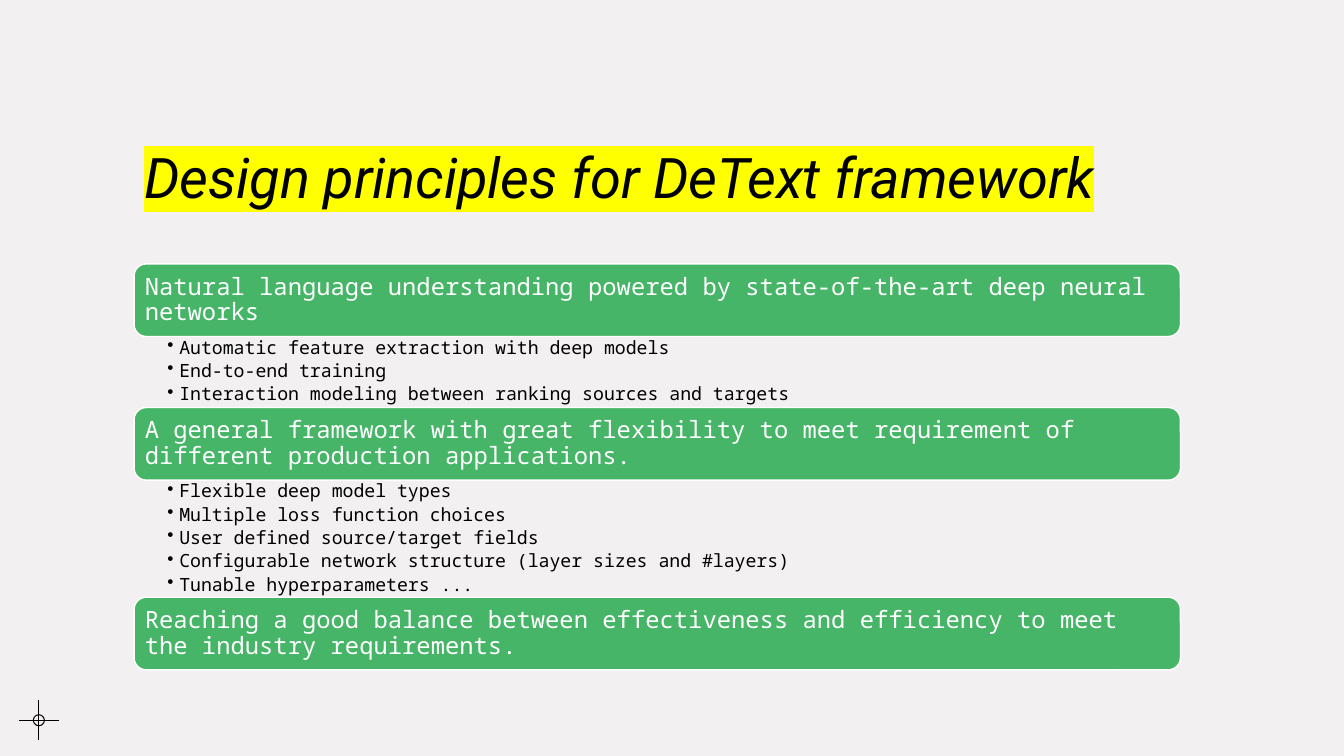
from dataclasses import dataclass

from lxml import etree
from pptx import Presentation
from pptx import util as u
from pptx.dml.color import RGBColor
from pptx.enum import shapes, text
from pptx.oxml import ns


@dataclass(frozen=True)
class Theme:
    background: str = "F3F0F2"
    ink: str = "000000"
    banner: str = "47B568"
    light: str = "FFFFFF"
    highlight: str = "FFFF00"
    title_font: str = "Roboto"
    body_font: str = "Noto Sans Mono"
    title_size: float = 40
    banner_size: float = 17
    bullet_size: float = 13


THEME = Theme()
LEFT, TOP, WIDTH = 3.38, 6.65, 26.37
BANNER_HEIGHT = 1.83

PRINCIPLES = [
    ("Natural language understanding powered by state-of-the-art deep neural networks",
     ["Automatic feature extraction with deep models",
      "End-to-end training",
      "Interaction modeling between ranking sources and targets"]),
    ("A general framework with great flexibility to meet requirement of "
     "different production applications.",
     ["Flexible deep model types",
      "Multiple loss function choices",
      "User defined source/target fields",
      "Configurable network structure (layer sizes and #layers)",
      "Tunable hyperparameters ..."]),
    ("Reaching a good balance between effectiveness and efficiency to meet "
     "the industry requirements.", []),
]


def set_font(font, name, size, color):
    font.name = name
    font.size = u.Pt(size)
    font.color.rgb = RGBColor.from_string(color)


def set_insets(frame, left, top, right, bottom):
    frame.margin_left, frame.margin_top = u.Cm(left), u.Cm(top)
    frame.margin_right, frame.margin_bottom = u.Cm(right), u.Cm(bottom)


def add_color_element(parent, tag):
    element = etree.SubElement(parent, ns.qn(tag))
    etree.SubElement(element, ns.qn("a:srgbClr"))
    return element


def add_title(slide, wording):
    title = slide.shapes.title
    title.left, title.top = u.Cm(LEFT), u.Cm(1.02)
    title.width, title.height = u.Cm(28.04), u.Cm(4.39)
    frame = title.text_frame
    frame.auto_size = text.MSO_AUTO_SIZE.NONE
    frame.vertical_anchor = text.MSO_ANCHOR.BOTTOM
    paragraph = frame.paragraphs[0]
    paragraph.alignment = text.PP_ALIGN.LEFT
    paragraph.line_spacing = 1.2
    run = paragraph.add_run()
    run.text = wording
    set_font(run.font, THEME.title_font, THEME.title_size, THEME.ink)
    run.font.italic = True
    # The highlight must follow the text fill
    properties = run._r.get_or_add_rPr()
    highlight = add_color_element(properties, "a:highlight")
    highlight[0].set("val", THEME.highlight)
    properties.find(ns.qn("a:solidFill")).addnext(highlight)


def add_banner(slide, top, wording):
    banner = slide.shapes.add_shape(
        shapes.MSO_SHAPE.ROUNDED_RECTANGLE,
        u.Cm(LEFT), u.Cm(top), u.Cm(WIDTH), u.Cm(BANNER_HEIGHT))
    banner.shadow.inherit = False
    banner.fill.solid()
    banner.fill.fore_color.rgb = RGBColor.from_string(THEME.banner)
    banner.line.color.rgb = RGBColor.from_string(THEME.light)
    banner.line.width = u.Pt(1)
    frame = banner.text_frame
    frame.word_wrap = True
    frame.vertical_anchor = text.MSO_ANCHOR.MIDDLE
    set_insets(frame, 0.18, 0.18, 0.18, 0.18)
    paragraph = frame.paragraphs[0]
    paragraph.text = wording
    paragraph.alignment = text.PP_ALIGN.LEFT
    paragraph.line_spacing = 0.9
    set_font(paragraph.font, THEME.body_font, THEME.banner_size, THEME.light)


def add_bullets(slide, top, height, items):
    box = slide.shapes.add_textbox(u.Cm(LEFT), u.Cm(top), u.Cm(WIDTH), u.Cm(height))
    frame = box.text_frame
    frame.word_wrap = True
    set_insets(frame, 0.84, 0.05, 0.33, 0.05)
    for index, item in enumerate(items):
        paragraph = frame.add_paragraph() if index else frame.paragraphs[0]
        paragraph.text = item
        paragraph.level = 1
        properties = paragraph._p.get_or_add_pPr()
        properties.set("marL", str(u.Cm(0.3)))
        properties.set("indent", str(u.Cm(-0.3)))
        add_color_element(properties, "a:buClr")[0].set("val", THEME.ink)
        etree.SubElement(properties, ns.qn("a:buChar")).set("char", "•")
        paragraph.line_spacing = 0.9
        paragraph.space_before = u.Pt(2.6 if index else 0)
        set_font(paragraph.font, THEME.body_font, THEME.bullet_size, THEME.ink)


def set_outline(shape):
    shape.line.color.rgb = RGBColor.from_string(THEME.ink)
    shape.line.width = u.Pt(0.75)


def add_crosshair(slide, x, y, arm, radius):
    for dx, dy in ((arm, 0), (0, arm)):
        line = slide.shapes.add_connector(
            shapes.MSO_CONNECTOR.STRAIGHT,
            u.Cm(x - dx), u.Cm(y - dy), u.Cm(x + dx), u.Cm(y + dy))
        set_outline(line)
        etree.SubElement(line._element.spPr, ns.qn("a:effectLst"))
    ring = slide.shapes.add_shape(
        shapes.MSO_SHAPE.OVAL, u.Cm(x - radius), u.Cm(y - radius),
        u.Cm(2 * radius), u.Cm(2 * radius))
    ring.shadow.inherit = False
    ring.fill.background()
    set_outline(ring)


def main():
    presentation = Presentation()
    presentation.slide_width, presentation.slide_height = u.Cm(33.87), u.Cm(19.05)
    slide = presentation.slides.add_slide(presentation.slide_layouts[5])
    slide.background.fill.solid()
    slide.background.fill.fore_color.rgb = RGBColor.from_string(THEME.background)

    add_crosshair(slide, x=0.98, y=18.15, arm=0.5, radius=0.14)
    add_title(slide, "Design principles for DeText framework")

    # Banners and their lists stack without gaps
    top = TOP
    for heading, items in PRINCIPLES:
        add_banner(slide, top, heading)
        top += BANNER_HEIGHT
        if items:
            height = 0.05 + 0.58 * len(items)
            add_bullets(slide, top, height, items)
            top += height

    presentation.save("out.pptx")


if __name__ == "__main__":
    main()
